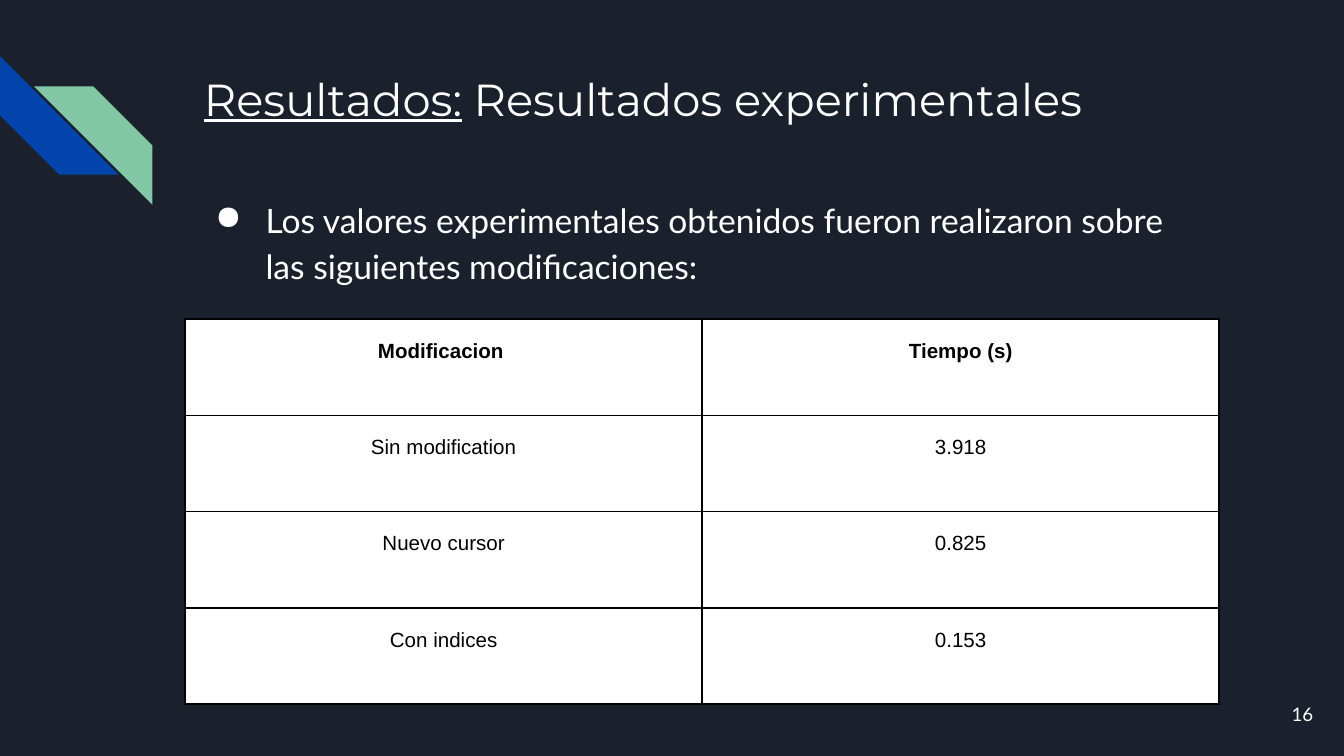
from lxml import etree
from pptx import Presentation
from pptx.dml.color import RGBColor
from pptx.enum.shapes import MSO_SHAPE
from pptx.enum.text import MSO_ANCHOR, PP_ALIGN
from pptx.oxml.ns import qn
from pptx.util import Pt

STRIPE = MSO_SHAPE.DIAGONAL_STRIPE
TOP, MIDDLE = MSO_ANCHOR.TOP, MSO_ANCHOR.MIDDLE
LEFT, CENTER, RIGHT = PP_ALIGN.LEFT, PP_ALIGN.CENTER, PP_ALIGN.RIGHT
WHITE, BLACK = "FFFFFF", "000000"


def color(value):
    return RGBColor.from_string(value)


def add_text(text, box, font_name, size, align=LEFT, anchor=TOP):
    text_box = slide.shapes.add_textbox(*[Pt(length) for length in box])
    frame = text_box.text_frame
    frame.word_wrap = True
    frame.vertical_anchor = anchor
    frame.margin_left = frame.margin_right = Pt(7.2)
    frame.margin_top = frame.margin_bottom = Pt(7.2)
    frame.text = text
    paragraph = frame.paragraphs[0]
    paragraph.alignment = align
    font = paragraph.runs[0].font
    font.name, font.size = font_name, Pt(size)
    font.color.rgb = color(WHITE)
    return paragraph


presentation = Presentation()
presentation.slide_width, presentation.slide_height = Pt(720), Pt(405)
slide = presentation.slides.add_slide(presentation.slide_layouts[6])
slide.background.fill.solid()
slide.background.fill.fore_color.rgb = color("1B212C")

# Corner stripes
for left, top, fill, rotation, flipped in [
    (0, 30, "0145AC", 270, False),
    (18.2, 46.3, "82C7A5", 0, True),
]:
    stripe = slide.shapes.add_shape(STRIPE, Pt(left), Pt(top), Pt(63.5), Pt(63.5))
    stripe.shadow.inherit = False
    stripe.rotation = rotation
    stripe.fill.solid()
    stripe.fill.fore_color.rgb = color(fill)
    stripe.line.fill.background()
    if flipped:
        stripe._element.spPr.find(qn("a:xfrm")).set("flipH", "1")

# Title
title = add_text("Resultados:", (102.2, 31, 554.4, 72), "Montserrat", 24)
title.runs[0].font.underline = True
subject = title.add_run()
subject.text = " Resultados experimentales"
subject.font.name, subject.font.size = "Montserrat", Pt(24)
subject.font.color.rgb = color(WHITE)

# Bulleted statement
statement = add_text(
    "Los valores experimentales obtenidos fueron realizaron sobre "
    "las siguientes modificaciones:",
    (99.2, 96.4, 554.4, 229), "Lato", 18)
statement.line_spacing = 1.15
properties = statement._p.get_or_add_pPr()
properties.set("marL", str(Pt(36)))
properties.set("indent", str(Pt(-27)))
bullet_color = etree.SubElement(properties, qn("a:buClr"))
etree.SubElement(bullet_color, qn("a:srgbClr"), val=WHITE)
etree.SubElement(properties, qn("a:buChar"), char="●")

# Slide number
add_text("16", (667.4, 367.2, 43.2, 31), "Lato", 10, RIGHT, MIDDLE)

# Results table
results = [
    ("Modificacion ", "Tiempo (s)"),
    ("Sin modification", "3.918"),
    ("Nuevo cursor", "0.825"),
    ("Con indices", "0.153"),
]
row_height, column_width = 51.55, 277
table = slide.shapes.add_table(
    len(results), 2, Pt(99.2), Pt(171), Pt(2 * column_width),
    Pt(len(results) * row_height)).table
for column in table.columns:
    column.width = Pt(column_width)
for row_index, values in enumerate(results):
    table.rows[row_index].height = Pt(row_height)
    for column_index, value in enumerate(values):
        cell = table.cell(row_index, column_index)
        cell.margin_left = cell.margin_right = Pt(5)
        cell.margin_top = cell.margin_bottom = Pt(5)
        cell.text_frame.text = value
        paragraph = cell.text_frame.paragraphs[0]
        paragraph.alignment = CENTER
        paragraph.line_spacing = 1.5
        font = paragraph.runs[0].font
        font.name, font.size = "Arial", Pt(11)
        font.bold = row_index == 0
        font.color.rgb = color(BLACK)
        # Borders come before the fill in the cell properties
        cell_properties = cell._tc.get_or_add_tcPr()
        for side in ("lnL", "lnR", "lnT", "lnB"):
            border = etree.SubElement(cell_properties, qn("a:" + side), w=str(Pt(1)))
            border_fill = etree.SubElement(border, qn("a:solidFill"))
            etree.SubElement(border_fill, qn("a:srgbClr"), val=BLACK)
        cell.fill.solid()
        cell.fill.fore_color.rgb = color(WHITE)

presentation.save("out.pptx")
